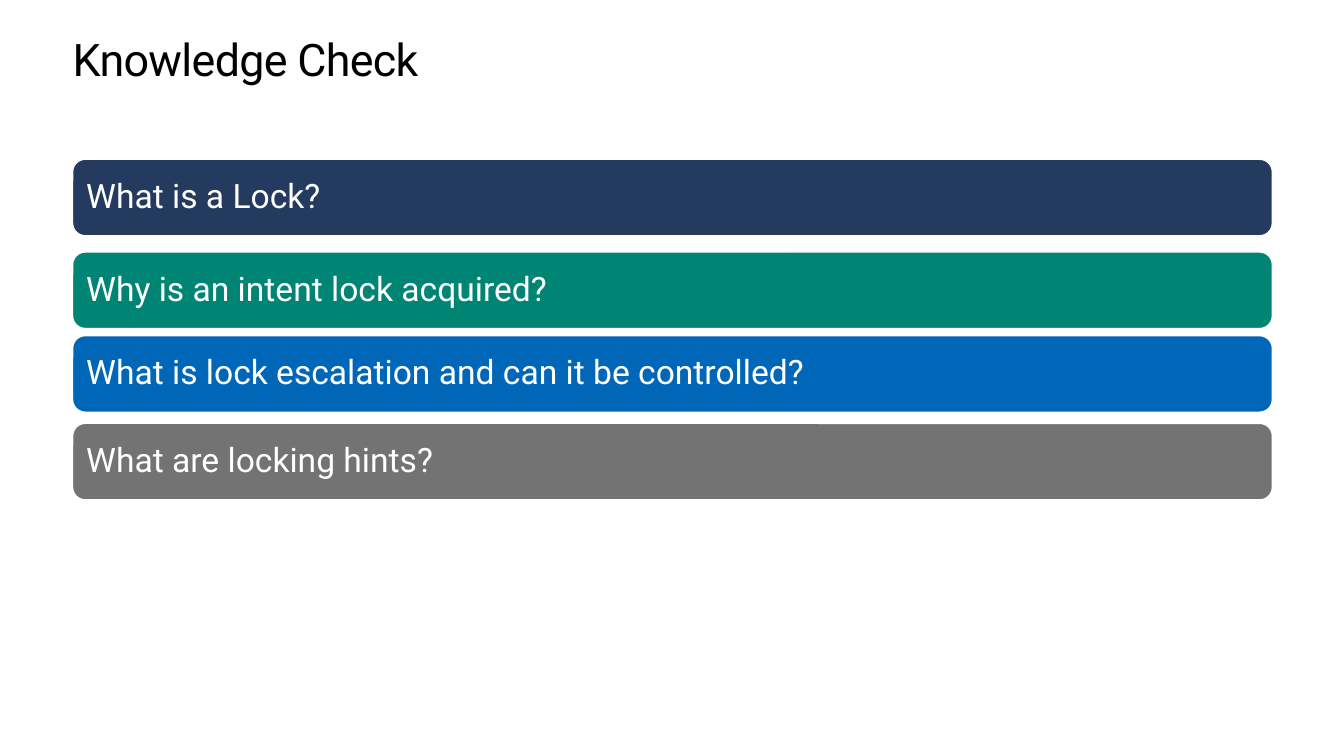
"""Build the knowledge check slide with its stack of question bars."""
import dataclasses

import pptx
import pptx.dml.color
import pptx.enum.shapes
import pptx.enum.text
import pptx.util

PX = 9144
SIZE = (1333, 750)
HEAD = (72, 35, 1190, 50)
STACK = (72, 158, 1190, 338)
BAR = 76
PAD = 10
ITEMS = [
    (0, "What is a Lock?"),
    (92, "Why is an intent lock acquired?"),
    (175, "What is lock escalation and can it be controlled?"),
    (262, "What are locking hints?"),
]


@dataclasses.dataclass(frozen=True)
class Theme:
    """Hold the colours and type sizes."""
    font: str = "Roboto"
    ink: str = "000000"
    paper: str = "FFFFFF"
    bars: tuple = ("243A5E", "008575", "0067B8", "737373")
    title: int = 32
    body: int = 24
    lead: float = 36.2
    track: int = -50


THEME = Theme()


def color(code):
    """Turn a hex code into a colour."""
    return pptx.dml.color.RGBColor.from_string(code)


def write(frame, text, size, code, lead, pad, anchor):
    """Fill a text frame with one left-aligned run and return the run."""
    frame.word_wrap = True
    frame.auto_size = pptx.enum.text.MSO_AUTO_SIZE.NONE
    frame.vertical_anchor = anchor
    frame.margin_left = frame.margin_right = pad * PX
    frame.margin_top = frame.margin_bottom = pad * PX
    para = frame.paragraphs[0]
    para.alignment = pptx.enum.text.PP_ALIGN.LEFT
    para.line_spacing = lead
    para.space_before = pptx.util.Pt(0)
    run = para.add_run()
    run.text = text
    run.font.name = THEME.font
    run.font.size = pptx.util.Pt(size)
    run.font.color.rgb = color(code)
    return run


def add_head(slide, box, text):
    """Place the title placeholder in the box."""
    title = slide.shapes.title
    title.left, title.top, title.width, title.height = (n * PX for n in box)
    run = write(title.text_frame, text, THEME.title, THEME.ink,
                pptx.util.Pt(THEME.lead), 0, pptx.enum.text.MSO_ANCHOR.TOP)
    run.font._element.set("spc", str(THEME.track))


def add_stack(slide, box, items):
    """Draw one rounded bar per question, each offset from the box top."""
    left, top, width, _ = box
    for (down, text), code in zip(items, THEME.bars):
        bar = slide.shapes.add_shape(
            pptx.enum.shapes.MSO_SHAPE.ROUNDED_RECTANGLE,
            left * PX, (top + down) * PX, width * PX, BAR * PX)
        bar.shadow.inherit = False
        bar.fill.solid()
        bar.fill.fore_color.rgb = color(code)
        bar.line.color.rgb = color(THEME.paper)
        bar.line.width = pptx.util.Pt(1)
        write(bar.text_frame, text, THEME.body, THEME.paper, 0.9, PAD,
              pptx.enum.text.MSO_ANCHOR.MIDDLE)


def main():
    """Build and save the deck."""
    deck = pptx.Presentation()
    deck.slide_width, deck.slide_height = (n * PX for n in SIZE)
    slide = deck.slides.add_slide(deck.slide_layouts.get_by_name("Title Only"))
    add_head(slide, HEAD, "Knowledge Check")
    add_stack(slide, STACK, ITEMS)
    deck.save("out.pptx")


if __name__ == "__main__":
    main()
